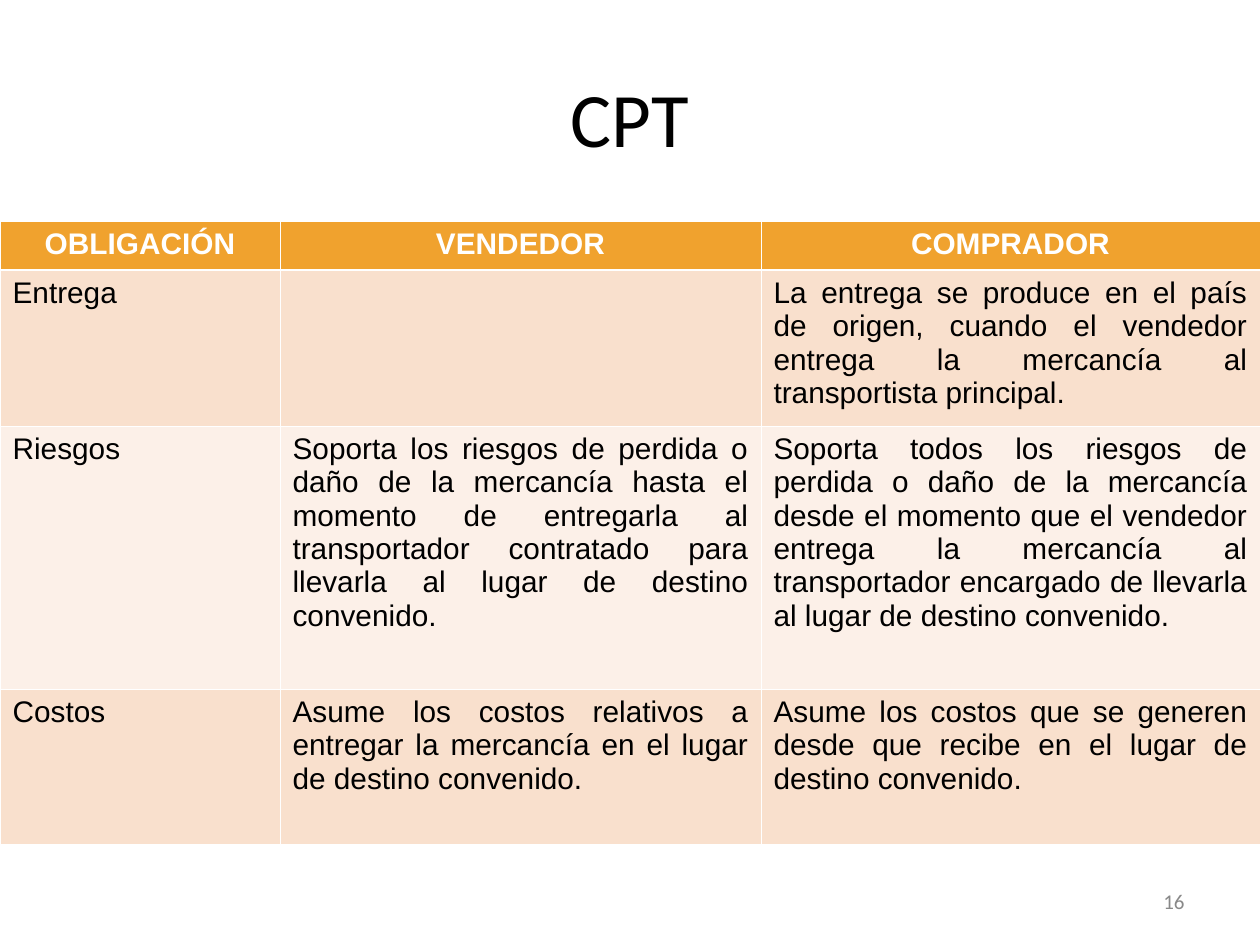
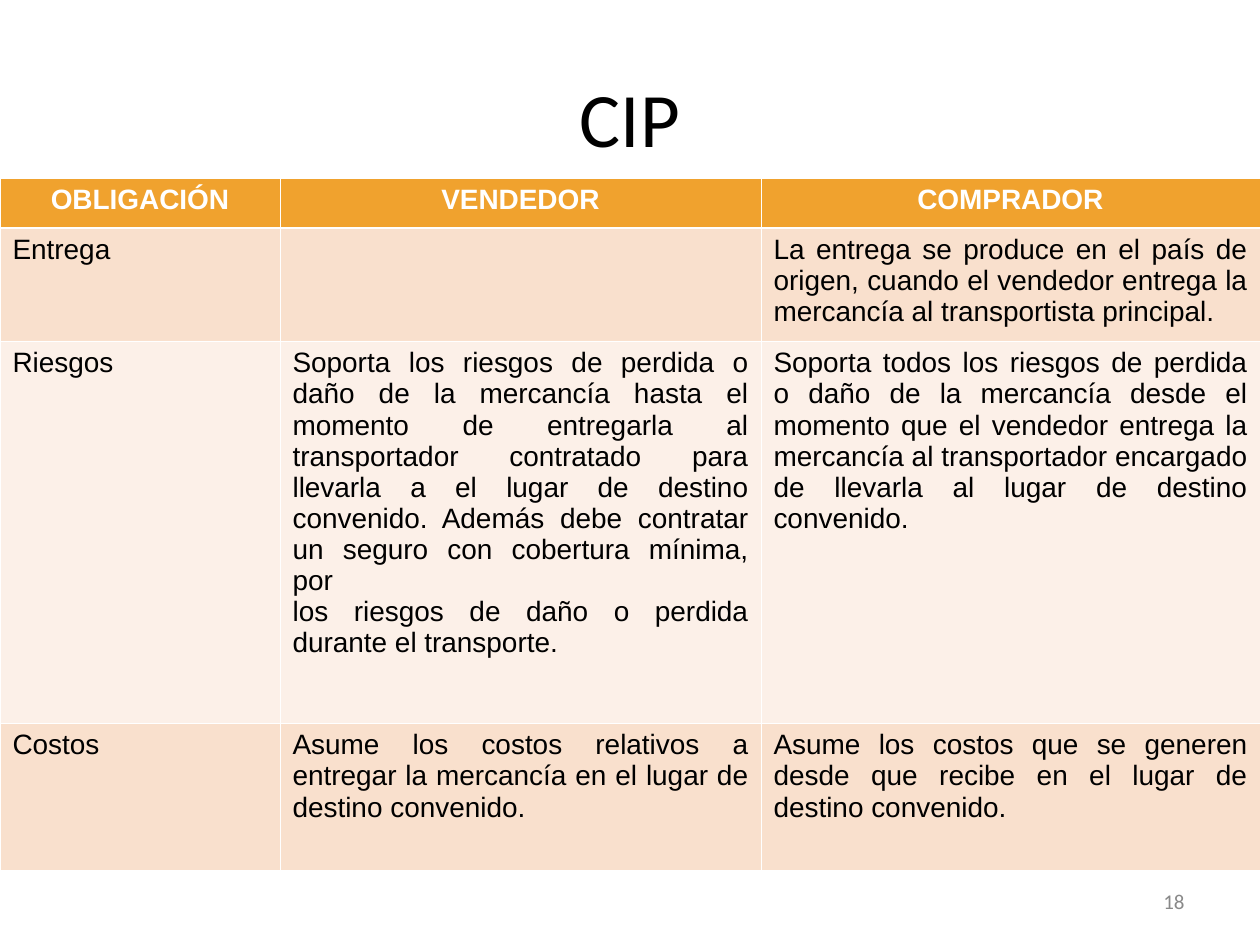
from lxml import etree
from pptx import Presentation
from pptx.dml.color import RGBColor
from pptx.enum.text import MSO_ANCHOR, PP_ALIGN
from pptx.oxml.ns import qn
from pptx.util import Emu, Pt

PX = 914400 / 126
WIDTH, HEIGHT = 1260, 945

LEFT, CENTER, RIGHT, JUSTIFY = PP_ALIGN.LEFT, PP_ALIGN.CENTER, PP_ALIGN.RIGHT, PP_ALIGN.JUSTIFY
MIDDLE = MSO_ANCHOR.MIDDLE

BLACK = RGBColor(0x00, 0x00, 0x00)
WHITE = RGBColor(0xFF, 0xFF, 0xFF)
GRAY = RGBColor(0x89, 0x89, 0x89)
ORANGE = RGBColor(0xF0, 0xA2, 0x2E)
PEACH = RGBColor(0xF9, 0xE0, 0xCD)
CREAM = RGBColor(0xFC, 0xF0, 0xE8)

HEADING_FONT, TABLE_FONT = "Calibri", "Arial"
THIN, THICK = 0.45, 1.47
COLUMNS = [280, 481, 499]

HEADER = ["OBLIGACIÓN", "VENDEDOR", "COMPRADOR"]
DELIVERY = ["Entrega", "",
            "La entrega se produce en el país de origen, cuando el vendedor entrega "
            "la mercancía al transportista principal."]
BUYER_RISKS = ("Soporta todos los riesgos de perdida o daño de la mercancía desde el momento "
               "que el vendedor entrega la mercancía al transportador encargado de llevarla "
               "al lugar de destino convenido.")
SELLER_RISKS = ("Soporta los riesgos de perdida o daño de la mercancía hasta el momento "
                "de entregarla al transportador contratado para llevarla ")
COSTS = ["Costos",
         "Asume los costos relativos a entregar la mercancía en el lugar de destino convenido.",
         "Asume los costos que se generen desde que recibe en el lugar de destino convenido."]


def px(n):
    return Emu(round(n * PX))


class Deck:
    def __init__(self):
        self.prs = Presentation()
        self.prs.slide_width, self.prs.slide_height = px(WIDTH), px(HEIGHT)
        self.slide = None

    def new_slide(self, title, number):
        self.slide = self.prs.slides.add_slide(self.prs.slide_layouts[6])
        self.text(title, 63, 38, 1134, 157, 44, BLACK, CENTER)
        self.text(number, 903, 876, 294, 50, 12, GRAY, RIGHT)

    def add_lines(self, tf, text, size, color, align, font, bold=False):
        """Fill a text frame, one paragraph for each line of text."""
        for i, line in enumerate(text.split("\n")):
            p = tf.add_paragraph() if i else tf.paragraphs[0]
            p.alignment = align
            r = p.add_run()
            r.text = line
            r.font.name, r.font.size, r.font.bold = font, Pt(size), bold
            r.font.color.rgb = color

    def text(self, text, x, y, w, h, size, color, align):
        tf = self.slide.shapes.add_textbox(px(x), px(y), px(w), px(h)).text_frame
        tf.word_wrap = True
        tf.vertical_anchor = MIDDLE
        self.add_lines(tf, text, size, color, align, HEADING_FONT)

    def borders(self, cell, top, bottom):
        tc_pr = cell._tc.get_or_add_tcPr()
        widths = {"a:lnL": THIN, "a:lnR": THIN, "a:lnT": top, "a:lnB": bottom}
        for tag, width in widths.items():
            ln = etree.SubElement(tc_pr, qn(tag), w=str(Pt(width)))
            fill = etree.SubElement(ln, qn("a:solidFill"))
            etree.SubElement(fill, qn("a:srgbClr"), val=str(WHITE))

    def table(self, rows, y, heights, size):
        table = self.slide.shapes.add_table(
            len(rows), len(COLUMNS), 0, px(y), px(WIDTH), px(sum(heights))).table
        table.first_row = table.horz_banding = False
        for column, w in zip(table.columns, COLUMNS):
            column.width = px(w)
        for i, (row, h) in enumerate(zip(rows, heights)):
            table.rows[i].height = px(h)
            header = i == 0
            fill = ORANGE if header else PEACH if i % 2 else CREAM
            for j, text in enumerate(row):
                cell = table.cell(i, j)
                self.borders(cell, THICK if i == 1 else THIN, THICK if header else THIN)
                cell.fill.solid()
                cell.fill.fore_color.rgb = fill
                if text:
                    align = CENTER if header else JUSTIFY if j else LEFT
                    self.add_lines(cell.text_frame, text, size, WHITE if header else BLACK,
                                   align, TABLE_FONT, header)


def main():
    deck = Deck()

    deck.new_slide("CPT", "16")
    risks = ["Riesgos", SELLER_RISKS + "al lugar de destino convenido.", BUYER_RISKS]
    deck.table([HEADER, DELIVERY, risks, COSTS], 221, [49, 156, 263, 156], 17)

    deck.new_slide("CIP", "18")
    insured = ("a el lugar de destino convenido. Además debe contratar un seguro con "
               "cobertura mínima, por\nlos riesgos de daño o perdida durante el transporte.")
    risks = ["Riesgos", SELLER_RISKS + insured, BUYER_RISKS]
    deck.table([HEADER, DELIVERY, risks, COSTS], 178, [50, 113, 382, 147], 16)

    deck.prs.save("out.pptx")


if __name__ == "__main__":
    main()
